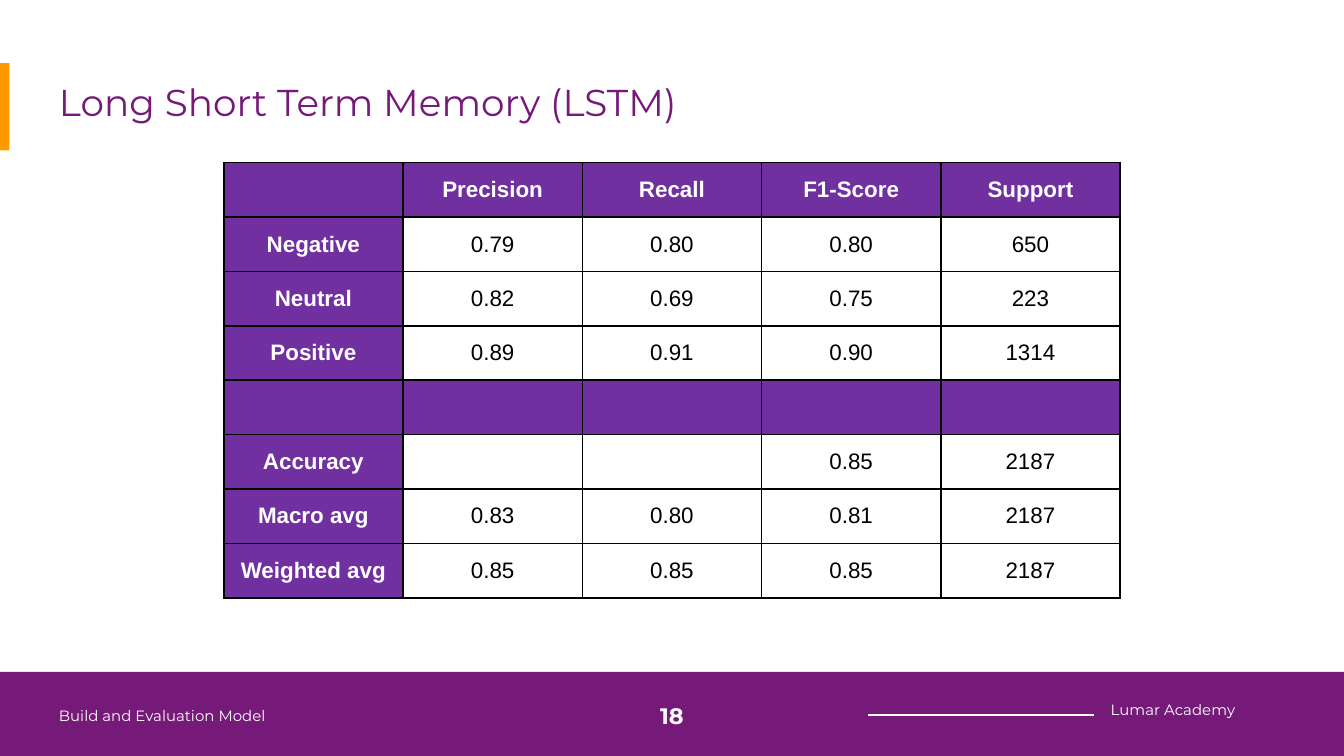
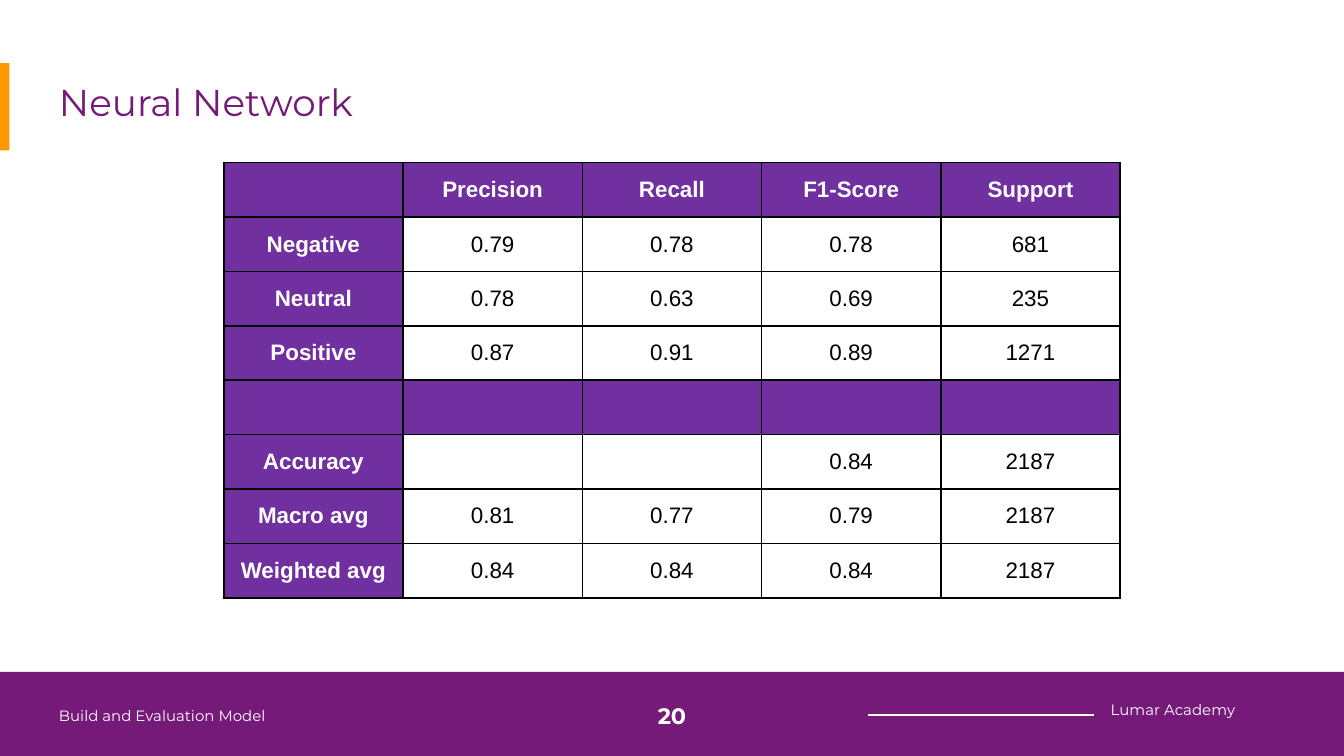
import lxml.etree
import pptx
import pptx.dml.color
import pptx.enum.shapes
import pptx.enum.text
import pptx.oxml.ns
import pptx.util

Inches = pptx.util.Inches
ALIGN = pptx.enum.text.PP_ALIGN
ANCHOR = pptx.enum.text.MSO_ANCHOR

SLIDE_WIDTH = 10
SLIDE_HEIGHT = SLIDE_WIDTH * 9 / 16
TABLE_WIDTH = 6.67
TABLE_LEFT = (SLIDE_WIDTH - TABLE_WIDTH) / 2

PURPLE = "761A79"
TABLE_PURPLE = "7030A0"
ORANGE = "FF9900"
WHITE = "FFFFFF"
BLACK = "000000"
TITLE_FONT = "Montserrat"
TABLE_FONT = "Arial"

SECTION = "Build and Evaluation Model"
ACADEMY = "Lumar Academy"
HEADER = ["", "Precision", "Recall", "F1-Score", "Support"]
ROW_LABELS = ["Negative", "Neutral", "Positive", "", "Accuracy", "Macro avg", "Weighted avg"]
SEPARATOR = [""] * 4

LSTM_SCORES = [
    ["0.79", "0.80", "0.80", "650"],
    ["0.82", "0.69", "0.75", "223"],
    ["0.89", "0.91", "0.90", "1314"],
    SEPARATOR,
    ["", "", "0.85", "2187"],
    ["0.83", "0.80", "0.81", "2187"],
    ["0.85", "0.85", "0.85", "2187"],
]
NEURAL_NETWORK_SCORES = [
    ["0.79", "0.78", "0.78", "681"],
    ["0.78", "0.63", "0.69", "235"],
    ["0.87", "0.91", "0.89", "1271"],
    SEPARATOR,
    ["", "", "0.84", "2187"],
    ["0.81", "0.77", "0.79", "2187"],
    ["0.84", "0.84", "0.84", "2187"],
]


def color(hex_code):
    return pptx.dml.color.RGBColor.from_string(hex_code)


def write_text(frame, text, size=12, font=TITLE_FONT, ink=WHITE, bold=False, align=ALIGN.LEFT):
    paragraph = frame.paragraphs[0]
    paragraph.alignment = align
    if not text:
        return
    run = paragraph.add_run()
    run.text = text
    run.font.size = pptx.util.Pt(size)
    run.font.name = font
    run.font.bold = bold
    run.font.color.rgb = color(ink)


def add_text(slide, left, top, width, height, text, anchor=ANCHOR.TOP, **text_format):
    box = slide.shapes.add_textbox(Inches(left), Inches(top), Inches(width), Inches(height))
    frame = box.text_frame
    frame.word_wrap = True
    frame.vertical_anchor = anchor
    frame.margin_left = frame.margin_right = Inches(0.1)
    frame.margin_top = frame.margin_bottom = Inches(0.1)
    write_text(frame, text, **text_format)


def add_band(slide, left, top, width, height, fill):
    shape = slide.shapes.add_shape(
        pptx.enum.shapes.MSO_SHAPE.RECTANGLE,
        Inches(left), Inches(top), Inches(width), Inches(height))
    shape.shadow.inherit = False
    shape.fill.solid()
    shape.fill.fore_color.rgb = color(fill)
    shape.line.fill.background()


def add_rule(slide, start, end, top):
    line = slide.shapes.add_connector(
        pptx.enum.shapes.MSO_CONNECTOR.STRAIGHT,
        Inches(start), Inches(top), Inches(end), Inches(top))
    line.line.color.rgb = color(WHITE)
    line.line.width = pptx.util.Pt(0.75)
    properties = line.element.find(pptx.oxml.ns.qn("p:spPr"))
    lxml.etree.SubElement(properties, pptx.oxml.ns.qn("a:effectLst"))


def set_borders(cell):
    properties = cell._tc.get_or_add_tcPr()
    for index, side in enumerate(("lnL", "lnR", "lnT", "lnB")):
        border = lxml.etree.Element(
            pptx.oxml.ns.qn(f"a:{side}"), w=str(pptx.util.Pt(1)))
        fill = lxml.etree.SubElement(border, pptx.oxml.ns.qn("a:solidFill"))
        lxml.etree.SubElement(fill, pptx.oxml.ns.qn("a:srgbClr"), val=BLACK)
        properties.insert(index, border)


def add_score_table(slide, scores):
    rows = [HEADER] + [[label] + values for label, values in zip(ROW_LABELS, scores)]
    table = slide.shapes.add_table(
        len(rows), len(HEADER), Inches(TABLE_LEFT), Inches(1.21),
        Inches(TABLE_WIDTH), Inches(3.24)).table
    for row_index, row in enumerate(rows):
        for column_index, text in enumerate(row):
            cell = table.cell(row_index, column_index)
            dark = row_index == 0 or column_index == 0 or not any(row)
            cell.fill.solid()
            cell.fill.fore_color.rgb = color(TABLE_PURPLE if dark else WHITE)
            cell.vertical_anchor = ANCHOR.MIDDLE
            set_borders(cell)
            write_text(cell.text_frame, text, font=TABLE_FONT,
                       ink=WHITE if dark else BLACK, bold=dark, align=ALIGN.CENTER)


def add_score_slide(presentation, title, number, scores):
    slide = presentation.slides.add_slide(presentation.slide_layouts[6])
    add_band(slide, -0.02, 5, 10.05, 0.65, PURPLE)
    add_band(slide, 0, 0.47, 0.07, 0.65, ORANGE)
    add_text(slide, 6.72, 5.15, 2.57, 0.34, ACADEMY, size=8, align=ALIGN.RIGHT)
    add_rule(slide, 8.14, 6.46, 5.32)
    add_text(slide, 0.34, 0.49, 9.32, 0.63, title, size=20, ink=PURPLE)
    add_text(slide, 0.34, 5.01, 4.66, 0.63, SECTION, anchor=ANCHOR.MIDDLE, size=8)
    add_text(slide, 4.7, 5.11, 0.6, 0.43, number,
             anchor=ANCHOR.MIDDLE, bold=True, align=ALIGN.CENTER)
    add_score_table(slide, scores)


def main():
    presentation = pptx.Presentation()
    presentation.slide_width = Inches(SLIDE_WIDTH)
    presentation.slide_height = Inches(SLIDE_HEIGHT)
    add_score_slide(presentation, "Long Short Term Memory (LSTM)", "18", LSTM_SCORES)
    add_score_slide(presentation, "Neural Network", "20", NEURAL_NETWORK_SCORES)
    presentation.save("out.pptx")


if __name__ == "__main__":
    main()
